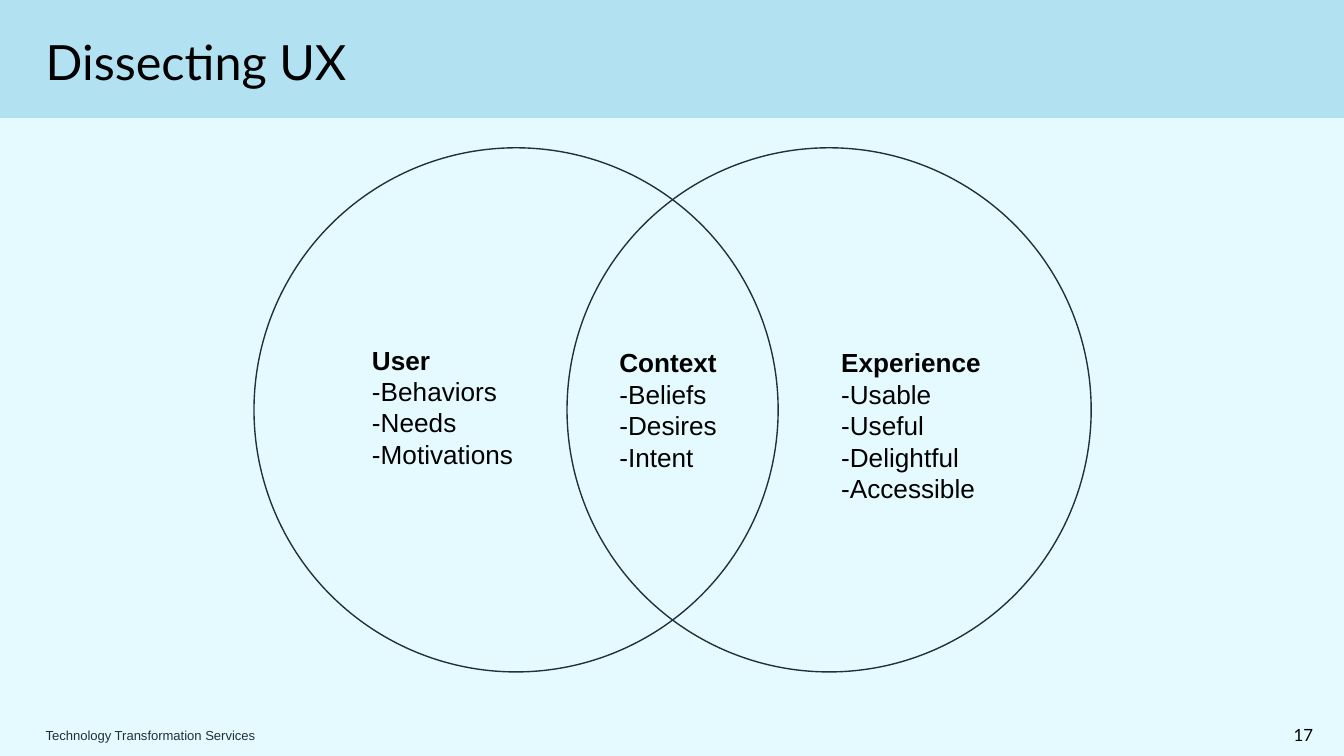
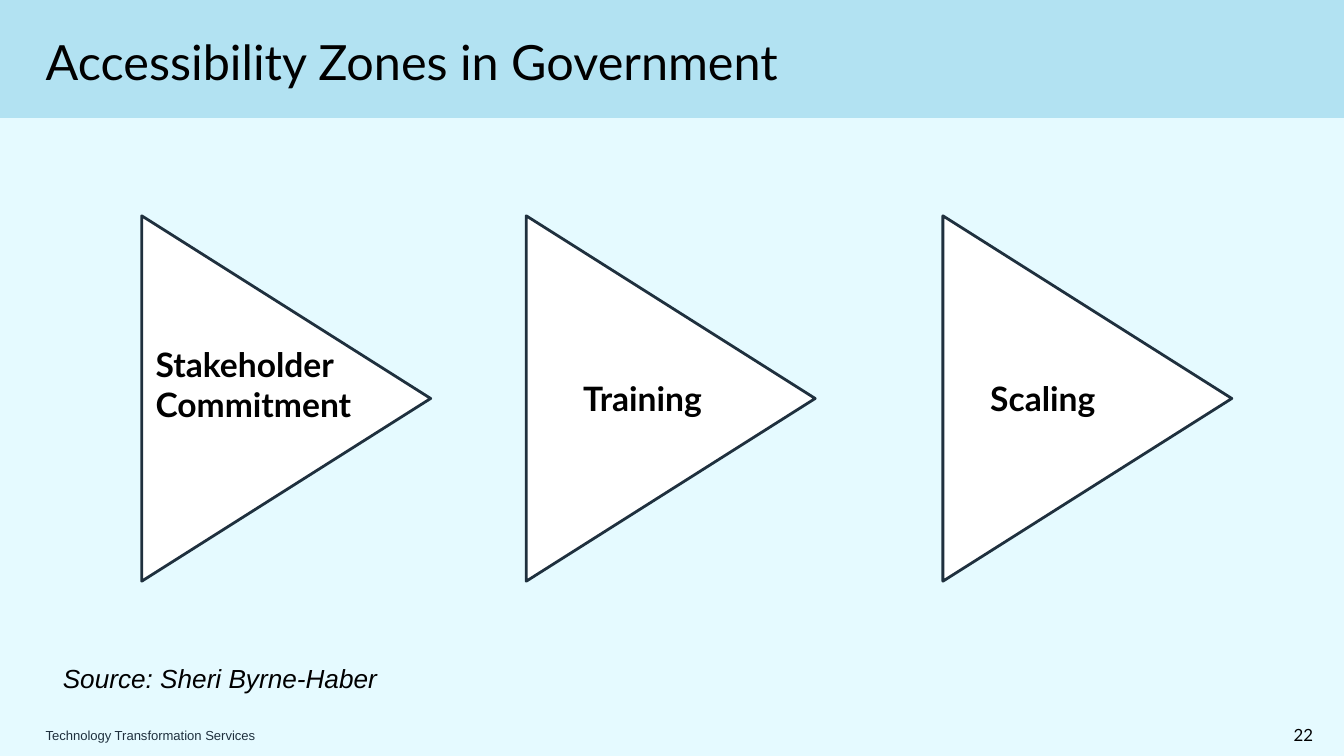
from dataclasses import dataclass
from typing import Optional

from pptx import Presentation
from pptx.dml.color import RGBColor
from pptx.enum.shapes import MSO_SHAPE
from pptx.enum.text import MSO_ANCHOR, MSO_AUTO_SIZE, PP_ALIGN
from pptx.util import Pt

COLORS = {
    "page": "E5FAFF",
    "band": "B2E2F2",
    "ink": "1F303E",
    "text": "000000",
    "zone": "FFFFFF",
}
SLIDE_WIDTH, SLIDE_HEIGHT = 720, 405
MARGIN = 24.5
INSET = 7.2
EVEN_INSETS = (INSET,) * 4
CIRCLE_TOP, CIRCLE_SIZE = 79.2, 280.8
ZONE_TOP, ZONE_WIDTH, ZONE_HEIGHT = 136.1, 195.8, 154.8


@dataclass(frozen=True)
class Box:
    """A rectangle in points."""
    left: float
    top: float
    width: float
    height: float

    def lengths(self) -> tuple:
        """Return the four lengths as Pt values."""
        return Pt(self.left), Pt(self.top), Pt(self.width), Pt(self.height)


@dataclass(frozen=True)
class Style:
    """The look of a run of text."""
    size: float
    font: str = "Arial"
    color: str = "text"
    bold: bool = False
    italic: bool = False


@dataclass(frozen=True)
class Facet:
    """A headed list inside the Venn diagram."""
    heading: str
    points: tuple
    box: Box


@dataclass(frozen=True)
class Zone:
    """A triangle with its label."""
    label: str
    left: float
    label_box: Box


TITLE = Style(26, "Lato")
FOOTER = Style(7, color="ink")
PAGE_NUMBER = Style(9, "Lato")
FACET_HEADING = Style(14, bold=True)
FACET_POINT = Style(14)
ZONE_LABEL = Style(18, "Lato", bold=True)
SOURCE = Style(14, italic=True)

CIRCLE_LEFTS = (136.1, 303.8)
FACETS = (
    Facet("User", ("Behaviors", "Needs", "Motivations"), Box(192.2, 177.1, 95, 82)),
    Facet("Context", ("Beliefs", "Desires", "Intent"), Box(324.7, 178.6, 95, 82)),
    Facet("Experience", ("Usable", "Useful", "Delightful", "Accessible"),
          Box(443.5, 178.6, 95, 99)),
)
ZONES = (
    Zone("Stakeholder Commitment", 55.4, Box(76.3, 177.1, 127.4, 58.3)),
    Zone("Training", 261.4, Box(305.3, 195.1, 101.5, 36)),
    Zone("Scaling", 484.6, Box(523.4, 195.1, 85, 36)),
)


def rgb(name: str) -> RGBColor:
    """Look up a named colour."""
    return RGBColor.from_string(COLORS[name])


def add_run(paragraph, text: str, style: Style) -> None:
    """Append one styled run."""
    run = paragraph.add_run()
    run.text = text
    font = run.font
    font.name, font.size = style.font, Pt(style.size)
    font.bold, font.italic = style.bold, style.italic
    font.color.rgb = rgb(style.color)


def set_frame(frame, insets: tuple, anchor, auto_size) -> None:
    """Set wrapping, insets, anchor and fitting of a text frame."""
    frame.word_wrap = True
    frame.auto_size = auto_size
    frame.vertical_anchor = anchor
    (frame.margin_left, frame.margin_top,
     frame.margin_right, frame.margin_bottom) = map(Pt, insets)


def add_text(slide, box: Box, lines: tuple, insets: tuple = EVEN_INSETS,
             anchor=MSO_ANCHOR.TOP, align=PP_ALIGN.LEFT,
             auto_size=MSO_AUTO_SIZE.SHAPE_TO_FIT_TEXT,
             line_height: Optional[float] = None) -> None:
    """Add a text box with one paragraph for each (text, style) pair."""
    frame = slide.shapes.add_textbox(*box.lengths()).text_frame
    set_frame(frame, insets, anchor, auto_size)
    for index, (text, style) in enumerate(lines):
        paragraph = frame.add_paragraph() if index else frame.paragraphs[0]
        paragraph.alignment = align
        if line_height:
            paragraph.line_spacing = Pt(line_height)
        add_run(paragraph, text, style)


def add_figure(slide, preset, box: Box, fill: Optional[str] = None,
               line_width: float = 0):
    """Add a preset shape, unfilled or unlined where not given."""
    figure = slide.shapes.add_shape(preset, *box.lengths())
    figure.shadow.inherit = False
    if fill:
        figure.fill.solid()
        figure.fill.fore_color.rgb = rgb(fill)
    else:
        figure.fill.background()
    if line_width:
        figure.line.color.rgb = rgb("ink")
        figure.line.width = Pt(line_width)
    else:
        figure.line.fill.background()
    return figure


def add_titled_slide(deck, heading: str, number: int):
    """Add a slide with the shared bands, title, footer and number."""
    slide = deck.slides.add_slide(deck.slide_layouts[5])
    title = slide.shapes.title
    bands = (("band", Box(0, 0, SLIDE_WIDTH, 63.2)),
             ("page", Box(0, 379.5, SLIDE_WIDTH, 25.5)))
    for fill, box in bands:
        band = add_figure(slide, MSO_SHAPE.RECTANGLE, box, fill)
        title.element.addprevious(band.element)

    title.left, title.top, title.width, title.height = Box(MARGIN, 9.4, 628.6, 54).lengths()
    set_frame(title.text_frame, (0, 0, INSET, INSET), MSO_ANCHOR.MIDDLE, MSO_AUTO_SIZE.NONE)
    paragraph = title.text_frame.paragraphs[0]
    paragraph.alignment = PP_ALIGN.LEFT
    add_run(paragraph, heading, TITLE)

    add_text(slide, Box(MARGIN, 382.3, 410.4, 23),
             (("Technology Transformation Services", FOOTER),), (0, 0, INSET, 0),
             MSO_ANCHOR.MIDDLE, auto_size=MSO_AUTO_SIZE.NONE)
    add_text(slide, Box(667.4, 384.5, 43.2, 18.7), ((str(number), PAGE_NUMBER),),
             anchor=MSO_ANCHOR.MIDDLE, align=PP_ALIGN.RIGHT, auto_size=MSO_AUTO_SIZE.NONE)
    return slide


def build_ux_slide(deck) -> None:
    """Build the Venn diagram of user, context and experience."""
    slide = add_titled_slide(deck, "Dissecting UX", 17)
    for left in CIRCLE_LEFTS:
        add_figure(slide, MSO_SHAPE.OVAL,
                   Box(left, CIRCLE_TOP, CIRCLE_SIZE, CIRCLE_SIZE), line_width=0.75)
    for facet in FACETS:
        points = tuple((f"-{point}", FACET_POINT) for point in facet.points)
        add_text(slide, facet.box, ((facet.heading, FACET_HEADING),) + points,
                 line_height=16.8)


def build_zones_slide(deck) -> None:
    """Build the row of accessibility zones."""
    slide = add_titled_slide(deck, "Accessibility Zones in Government", 22)
    for zone in ZONES:
        triangle = add_figure(slide, MSO_SHAPE.FLOWCHART_EXTRACT,
                              Box(zone.left, ZONE_TOP, ZONE_WIDTH, ZONE_HEIGHT), "zone", 1.5)
        triangle.rotation = 90
        add_text(slide, zone.label_box, ((zone.label, ZONE_LABEL),))
    add_text(slide, Box(26.6, 347.8, 226.1, 31.7), (("Source: Sheri Byrne-Haber", SOURCE),))


def main() -> None:
    """Build and save the deck."""
    deck = Presentation()
    deck.slide_width, deck.slide_height = Pt(SLIDE_WIDTH), Pt(SLIDE_HEIGHT)
    page = deck.slide_master.background.fill
    page.solid()
    page.fore_color.rgb = rgb("page")
    build_ux_slide(deck)
    build_zones_slide(deck)
    deck.save("out.pptx")


if __name__ == "__main__":
    main()
